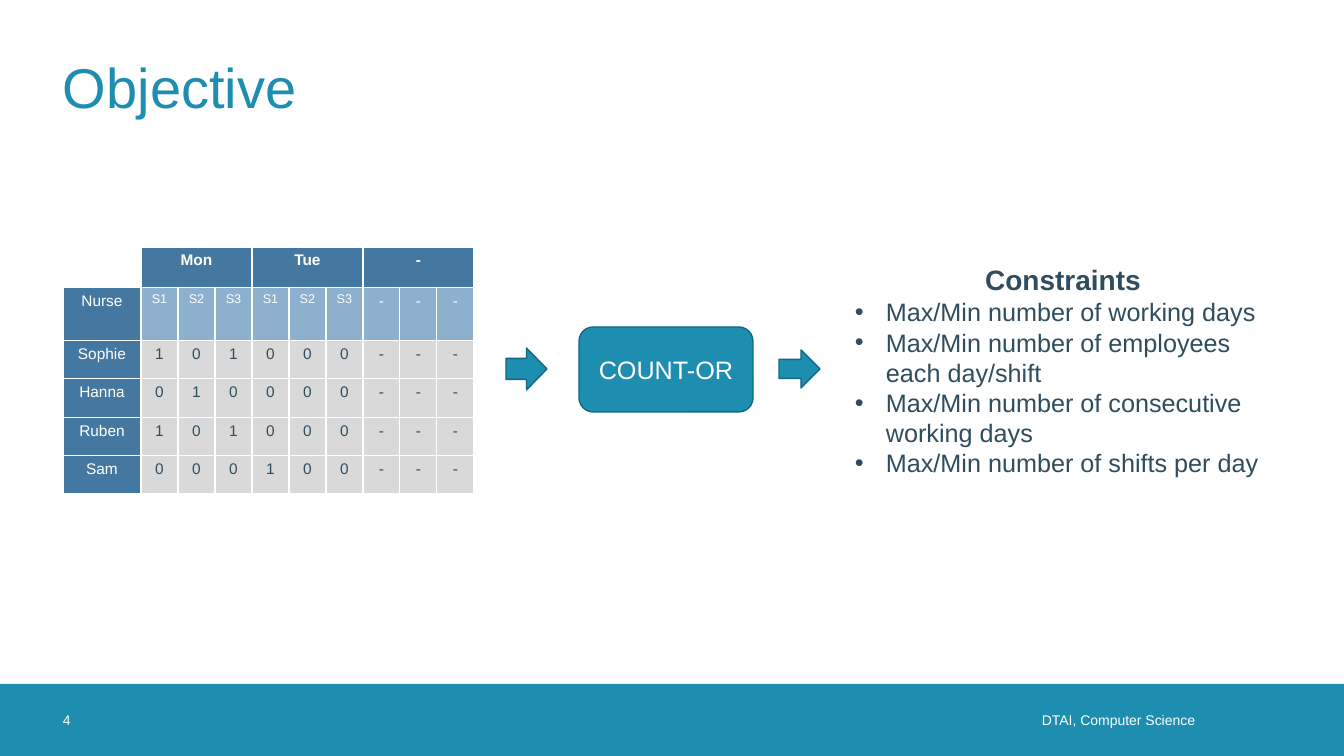
"""Build the Objective slide: a nurse roster turned into constraints by COUNT-OR."""
from lxml.etree import SubElement
from pptx import Presentation
from pptx.dml.color import RGBColor
from pptx.enum.shapes import MSO_SHAPE
from pptx.enum.text import MSO_ANCHOR, PP_ALIGN
from pptx.oxml.ns import qn
from pptx.util import Pt

EMU_PER_PX = 914400 / 100.8
TEAL, OUTLINE, BLUE, LIGHT_BLUE = "1D8DB0", "156882", "4578A1", "8CB0CD"
GRAY, DARK, WHITE = "D9D9D9", "2F4D5D", "FFFFFF"


def px(*lengths):
    return [round(length * EMU_PER_PX) for length in lengths]


def write(paragraph, text, size, color, alignment=PP_ALIGN.LEFT, bold=False):
    paragraph.alignment = alignment
    run = paragraph.add_run()
    run.text = text
    for name, value in {"name": "Arial", "size": Pt(size), "bold": bold}.items():
        setattr(run.font, name, value)
    run.font.color.rgb = RGBColor.from_string(color)


presentation = Presentation()
presentation.slide_width, presentation.slide_height = px(1344, 756)
slide = presentation.slides.add_slide(presentation.slide_layouts[6])

shapes = [
    (MSO_SHAPE.RECTANGLE, (0, 684, 1344, 72), None, ""),
    (MSO_SHAPE.RIGHT_ARROW, (506, 348, 41, 42), OUTLINE, ""),
    (MSO_SHAPE.ROUNDED_RECTANGLE, (579, 327, 174, 85), OUTLINE, "COUNT-OR"),
    (MSO_SHAPE.RIGHT_ARROW, (779, 350, 41, 38), OUTLINE, ""),
]
for kind, box, outline, text in shapes:
    shape = slide.shapes.add_shape(kind, *px(*box))
    shape.shadow.inherit = False
    shape.fill.solid()
    shape.fill.fore_color.rgb = RGBColor.from_string(TEAL)
    if outline:
        shape.line.color.rgb = RGBColor.from_string(outline)
        shape.line.width = Pt(1)
    else:
        shape.line.fill.background()
    if text:
        shape.text_frame.vertical_anchor = MSO_ANCHOR.MIDDLE
        write(shape.text_frame.paragraphs[0], text, 18, WHITE, PP_ALIGN.CENTER)

labels = [
    ("Objective", (63, 23, 1217, 127), 40, TEAL, PP_ALIGN.LEFT, 0),
    ("DTAI, Computer Science", (665, 684, 550, 72), 10, WHITE, PP_ALIGN.RIGHT, 20),
    ("4", (63, 684, 72, 72), 10, WHITE, PP_ALIGN.LEFT, 0),
]
for text, box, size, color, alignment, right_inset in labels:
    frame = slide.shapes.add_textbox(*px(*box)).text_frame
    frame_format = {
        "word_wrap": True,
        "vertical_anchor": MSO_ANCHOR.MIDDLE,
        "margin_left": 0,
        "margin_top": 0,
        "margin_right": px(right_inset)[0],
        "margin_bottom": 0,
    }
    for name, value in frame_format.items():
        setattr(frame, name, value)
    write(frame.paragraphs[0], text, size, color, alignment)

roster = [
    ["", "Mon", "", "", "Tue", "", "", "-", "", ""],
    ["Nurse", "S1", "S2", "S3", "S1", "S2", "S3", "-", "-", "-"],
    ["Sophie", "1", "0", "1", "0", "0", "0", "-", "-", "-"],
    ["Hanna", "0", "1", "0", "0", "0", "0", "-", "-", "-"],
    ["Ruben", "1", "0", "1", "0", "0", "0", "-", "-", "-"],
    ["Sam", "0", "0", "0", "1", "0", "0", "-", "-", "-"],
]
column_widths = [78] + [37] * 9
row_heights = [39, 53, 38, 39, 38, 38]
table = slide.shapes.add_table(
    len(row_heights), len(column_widths),
    *px(63, 247, sum(column_widths), sum(row_heights)),
).table
table.first_row = table.horz_banding = False
for column, width in zip(table.columns, px(*column_widths)):
    column.width = width
for row, height in zip(table.rows, px(*row_heights)):
    row.height = height
for first in (1, 4, 7):
    table.cell(0, first).merge(table.cell(0, first + 2))

for row_index, row in enumerate(roster):
    for column_index, text in enumerate(row):
        cell = table.cell(row_index, column_index)
        cell.margin_left, cell.margin_right = px(7, 7)
        properties = cell._tc.get_or_add_tcPr()
        for side in ("a:lnL", "a:lnR", "a:lnT", "a:lnB"):
            border = SubElement(properties, qn(side), w=str(Pt(1)))
            border_fill = SubElement(border, qn("a:solidFill"))
            SubElement(border_fill, qn("a:srgbClr"), val=WHITE)
        if row_index == column_index == 0:
            fill = WHITE
        elif row_index == 0 or column_index == 0:
            fill = BLUE
        else:
            fill = LIGHT_BLUE if row_index == 1 else GRAY
        cell.fill.solid()
        cell.fill.fore_color.rgb = RGBColor.from_string(fill)
        if text:
            size = 9 if text.startswith("S") and row_index == 1 else 11
            color = DARK if fill == GRAY else WHITE
            write(cell.text_frame.paragraphs[0], text, size, color,
                  PP_ALIGN.CENTER, row_index == 0)

constraints = [
    "Max/Min number of working days",
    "Max/Min number of employees each day/shift",
    "Max/Min number of consecutive working days",
    "Max/Min number of shifts per day",
]
frame = slide.shapes.add_textbox(*px(845, 258, 436, 228)).text_frame
frame.word_wrap = True
write(frame.paragraphs[0], "Constraints", 20, DARK, PP_ALIGN.CENTER, True)
indent = px(31)[0]
for constraint in constraints:
    paragraph = frame.add_paragraph()
    write(paragraph, constraint, 18, DARK)
    properties = paragraph._p.get_or_add_pPr()
    properties.set("marL", str(indent))
    properties.set("indent", str(-indent))
    SubElement(properties, qn("a:buFont"), typeface="Arial")
    SubElement(properties, qn("a:buChar"), char="•")

presentation.save("out.pptx")
